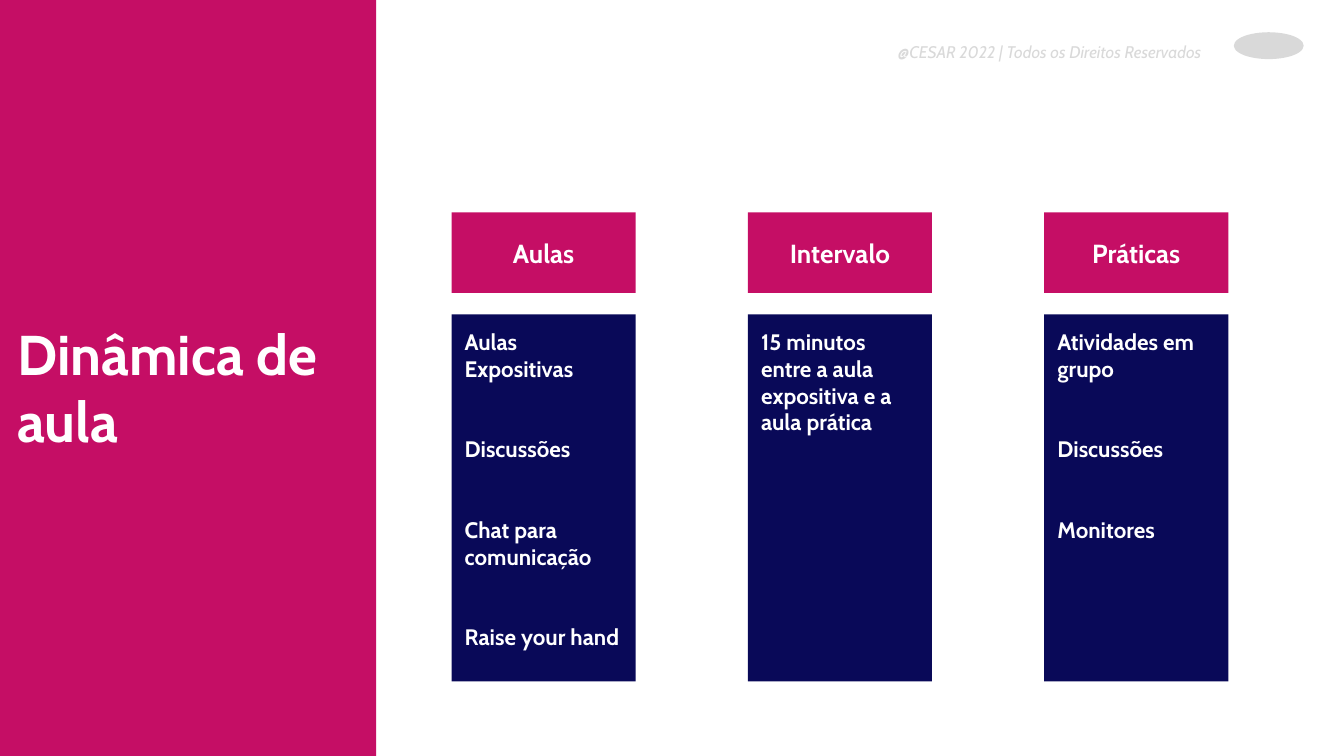
from dataclasses import dataclass

from pptx import Presentation
from pptx.dml.color import RGBColor
from pptx.enum.shapes import MSO_SHAPE
from pptx.enum.text import MSO_ANCHOR, PP_ALIGN
from pptx.shapes.autoshape import Shape
from pptx.slide import Slide
from pptx.util import Inches, Pt

FONT = "Cabin"
PINK = "C50E65"
NAVY = "090958"
WHITE = "FFFFFF"
GREY = "D9D9D9"

PAGE_WIDTH = 10
PAGE_HEIGHT = PAGE_WIDTH * 9 / 16
FIRST_COLUMN_LEFT = 3.36
LAST_COLUMN_LEFT = 7.77
COLUMN_WIDTH = 1.37


@dataclass(frozen=True)
class Area:
    left: float
    top: float
    width: float
    height: float


@dataclass(frozen=True)
class TextStyle:
    size: float
    color: str = WHITE
    bold: bool = True
    italic: bool = False
    align: PP_ALIGN = PP_ALIGN.LEFT
    anchor: MSO_ANCHOR = MSO_ANCHOR.TOP
    margin: float = 0.1
    gap: float = 0


@dataclass(frozen=True)
class Column:
    heading: str
    items: tuple[str, ...]


COPYRIGHT = TextStyle(9, GREY, bold=False, italic=True, align=PP_ALIGN.CENTER, margin=0.07)
TITLE = TextStyle(30)
HEADING = TextStyle(14, align=PP_ALIGN.CENTER, anchor=MSO_ANCHOR.MIDDLE)
BODY = TextStyle(12, gap=28.8)

COLUMNS = (
    Column("Aulas", ("Aulas Expositivas", "Discussões", "Chat para comunicação", "Raise your hand")),
    Column("Intervalo", ("15 minutos entre a aula expositiva e a aula prática",)),
    Column("Práticas", ("Atividades em grupo", "Discussões", "Monitores")),
)
COLUMN_PITCH = (LAST_COLUMN_LEFT - FIRST_COLUMN_LEFT) / (len(COLUMNS) - 1)


def rgb(value: str) -> RGBColor:
    return RGBColor.from_string(value)


def lengths(area: Area) -> tuple[Inches, ...]:
    return tuple(Inches(value) for value in (area.left, area.top, area.width, area.height))


def write(box: Shape, lines: tuple[str, ...], style: TextStyle) -> None:
    frame = box.text_frame
    frame.word_wrap = True
    frame.vertical_anchor = style.anchor
    frame.margin_left = frame.margin_right = Inches(style.margin)
    frame.margin_top = frame.margin_bottom = Inches(style.margin)
    frame.text = "\n".join(lines)
    for index, para in enumerate(frame.paragraphs):
        para.alignment = style.align
        if index and style.gap:
            para.space_before = Pt(style.gap)
        for span in para.runs:
            span.font.name = FONT
            span.font.size = Pt(style.size)
            span.font.bold = style.bold
            span.font.italic = style.italic
            span.font.color.rgb = rgb(style.color)


def add_text(page: Slide, area: Area, text: str, style: TextStyle) -> None:
    write(page.shapes.add_textbox(*lengths(area)), (text,), style)


def add_block(page: Slide, area: Area, color: str, kind: MSO_SHAPE = MSO_SHAPE.RECTANGLE) -> Shape:
    block = page.shapes.add_shape(kind, *lengths(area))
    block.shadow.inherit = False
    block.fill.solid()
    block.fill.fore_color.rgb = rgb(color)
    block.line.fill.background()
    return block


def add_column(page: Slide, left: float, column: Column) -> None:
    heading = add_block(page, Area(left, 1.58, COLUMN_WIDTH, 0.6), PINK)
    write(heading, (column.heading,), HEADING)
    body = add_block(page, Area(left, 2.34, COLUMN_WIDTH, 2.73), NAVY)
    write(body, column.items, BODY)


def main() -> None:
    deck = Presentation()
    deck.slide_width = Inches(PAGE_WIDTH)
    deck.slide_height = Inches(PAGE_HEIGHT)
    page = deck.slides.add_slide(deck.slide_layouts[6])

    add_text(page, Area(6.46, 0.24, 2.7, 0.36), "@CESAR 2022 | Todos os Direitos Reservados", COPYRIGHT)
    add_block(page, Area(0, 0, 2.8, PAGE_HEIGHT), PINK)
    add_text(page, Area(0.03, 2.28, 2.74, 1.06), "Dinâmica de aula", TITLE)
    add_block(page, Area(9.18, 0.24, 0.52, 0.2), GREY, MSO_SHAPE.OVAL)
    for index, column in enumerate(COLUMNS):
        add_column(page, FIRST_COLUMN_LEFT + index * COLUMN_PITCH, column)

    deck.save("out.pptx")


if __name__ == "__main__":
    main()
